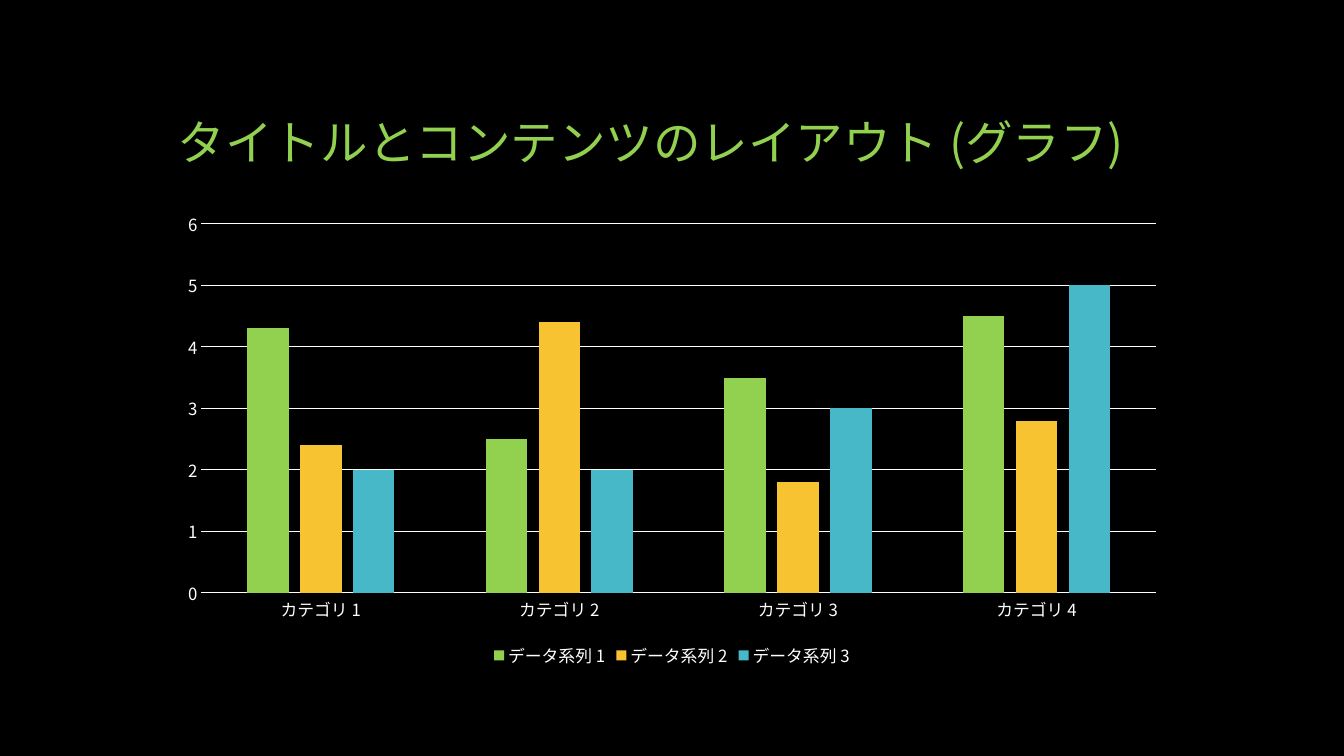
from lxml import etree
from pptx import Presentation
from pptx.chart.data import CategoryChartData
from pptx.dml.color import RGBColor
from pptx.enum.chart import XL_CHART_TYPE, XL_LEGEND_POSITION, XL_TICK_MARK
from pptx.enum.text import MSO_ANCHOR
from pptx.oxml.ns import qn
from pptx.util import Emu, Pt

COLUMNS = XL_CHART_TYPE.COLUMN_CLUSTERED
LEGEND_BOTTOM = XL_LEGEND_POSITION.BOTTOM
NO_TICK = XL_TICK_MARK.NONE
ANCHOR_BOTTOM = MSO_ANCHOR.BOTTOM

TITLE = "タイトルとコンテンツのレイアウト (グラフ)"
CATEGORIES = ["カテゴリ 1", "カテゴリ 2", "カテゴリ 3", "カテゴリ 4"]
SERIES = [
    ("データ系列 1", "green", (4.3, 2.5, 3.5, 4.5)),
    ("データ系列 2", "yellow", (2.4, 4.4, 1.8, 2.8)),
    ("データ系列 3", "teal", (2, 2, 3, 5)),
]

COLORS = {
    "black": "000000",
    "white": "FFFFFF",
    "green": "92D050",
    "yellow": "F7C331",
    "teal": "47B8C7",
}
JAPANESE_FONT = "Noto Sans CJK JP"
CHART_FONT = "Cabin"

EMU_PER_PX = 914400 / 100.8
SLIDE_SIZE = (1344, 756)
TITLE_BOX = (168, 50, 1008, 126)
CHART_BOX = (168, 202, 1008, 470)
AXIS_FORMAT = {
    "major_tick_mark": NO_TICK,
    "minor_tick_mark": NO_TICK,
    "has_title": False,
}
VALUE_SCALE = {"minimum_scale": 0, "maximum_scale": 6, "major_unit": 1}


def to_emu(lengths):
    return [Emu(round(length * EMU_PER_PX)) for length in lengths]


def rgb(color):
    return RGBColor.from_string(COLORS[color])


def set_attributes(target, values):
    for name, value in values.items():
        setattr(target, name, value)


def style_font(font, size, color, name=JAPANESE_FONT):
    """Set the Latin and the East Asian typeface, size and colour."""
    set_attributes(font, {"name": name, "size": Pt(size), "bold": False})
    font.color.rgb = rgb(color)
    latin = font._element.find(qn("a:latin")) if hasattr(font, "_element") else font._rPr.find(qn("a:latin"))
    east_asian = etree.Element(qn("a:ea"), typeface=JAPANESE_FONT)
    latin.addnext(east_asian)


def style_line(line):
    line.color.rgb = rgb("white")
    line.width = Pt(0.75)


def add_title(slide):
    frame = slide.shapes.add_textbox(*to_emu(TITLE_BOX)).text_frame
    set_attributes(frame, {"word_wrap": True, "vertical_anchor": ANCHOR_BOTTOM})
    paragraph = frame.paragraphs[0]
    paragraph.line_spacing = 0.9
    run = paragraph.add_run()
    run.text = TITLE
    style_font(run.font, 34, "green")


def add_column_chart(slide):
    data = CategoryChartData()
    data.categories = CATEGORIES
    for name, _, values in SERIES:
        data.add_series(name, values)
    chart = slide.shapes.add_chart(COLUMNS, *to_emu(CHART_BOX), data).chart
    set_attributes(chart, {"has_title": False, "has_legend": True})
    style_font(chart.font, 10, "white", CHART_FONT)

    set_attributes(chart.legend, {"position": LEGEND_BOTTOM, "include_in_layout": False})
    style_font(chart.legend.font, 12, "white")

    for axis in (chart.category_axis, chart.value_axis):
        set_attributes(axis, AXIS_FORMAT)
        style_font(axis.tick_labels.font, 12, "white")
    style_line(chart.category_axis.format.line)
    set_attributes(chart.value_axis, VALUE_SCALE)
    chart.value_axis.format.line.fill.background()
    style_line(chart.value_axis.major_gridlines.format.line)

    plot = chart.plots[0]
    set_attributes(plot, {"gap_width": 219, "overlap": -27, "vary_by_categories": False})
    for series, (_, color, _) in zip(plot.series, SERIES):
        series.format.fill.solid()
        series.format.fill.fore_color.rgb = rgb(color)


def main():
    presentation = Presentation()
    presentation.slide_width, presentation.slide_height = to_emu(SLIDE_SIZE)
    slide = presentation.slides.add_slide(presentation.slide_layouts[6])
    slide.background.fill.solid()
    slide.background.fill.fore_color.rgb = rgb("black")
    add_title(slide)
    add_column_chart(slide)
    presentation.save("out.pptx")


if __name__ == "__main__":
    main()
